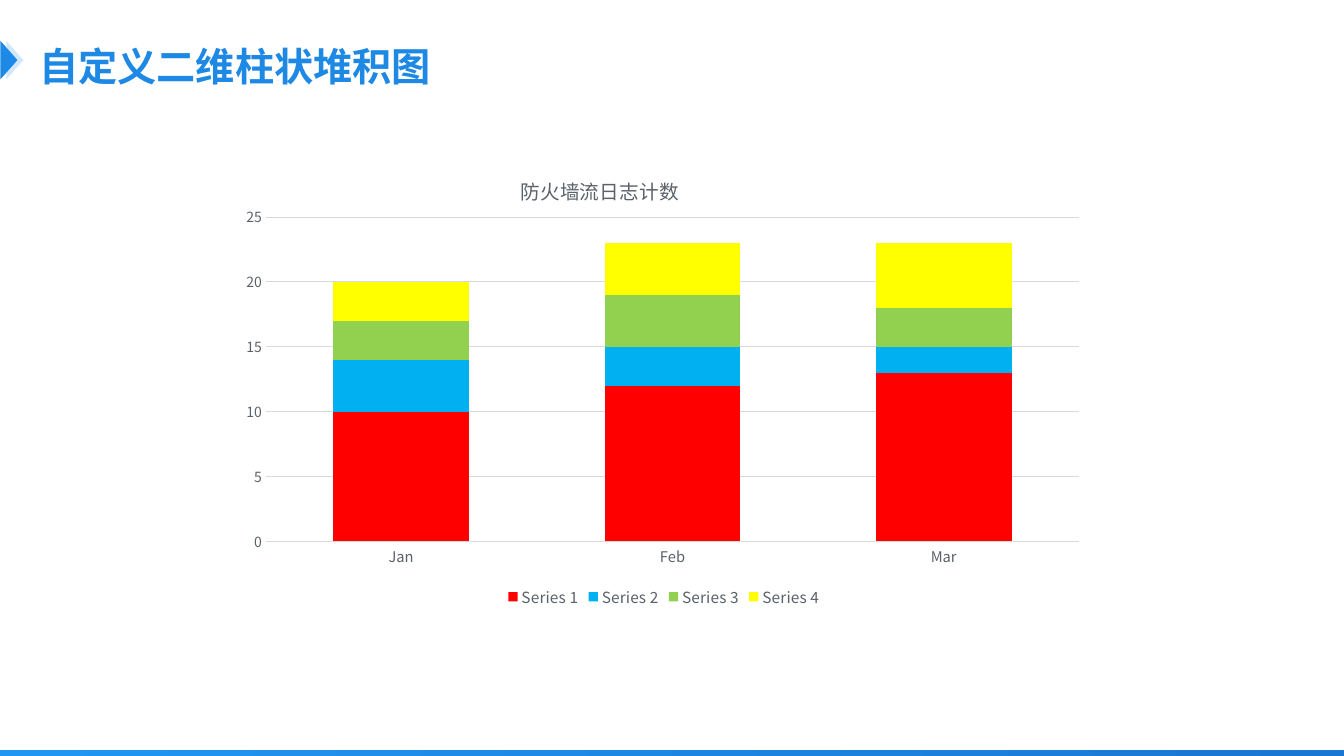
from lxml import etree
from pptx import Presentation
from pptx.chart.data import CategoryChartData
from pptx.dml.color import RGBColor
from pptx.enum.chart import XL_CHART_TYPE, XL_LEGEND_POSITION, XL_TICK_MARK
from pptx.enum.shapes import MSO_SHAPE
from pptx.enum.text import MSO_ANCHOR, PP_ALIGN
from pptx.oxml import parse_xml
from pptx.oxml.ns import nsdecls, qn
from pptx.util import Cm, Pt

STACKED = XL_CHART_TYPE.COLUMN_STACKED
LEGEND_BOTTOM = XL_LEGEND_POSITION.BOTTOM
NO_TICK = XL_TICK_MARK.NONE
RECTANGLE = MSO_SHAPE.RECTANGLE
TRIANGLE = MSO_SHAPE.ISOSCELES_TRIANGLE
BOTTOM = MSO_ANCHOR.BOTTOM
LEFT = PP_ALIGN.LEFT

FONT = "Noto Sans CJK SC"
BLUE = "1E88E5"
GREY = "5A6269"
RULE = "D8DBDD"


def colour(value):
    return RGBColor.from_string(value)


def write(frame, text, size=14, color=GREY, bold=False, align=None, spacing=None):
    para = frame.paragraphs[0]
    para.alignment = align
    para.line_spacing = spacing
    span = para.add_run()
    span.text = text
    span.font.size = Pt(size)
    span.font.bold = bold
    span.font.color.rgb = colour(color)
    span.font.name = FONT
    etree.SubElement(span.font._element, qn("a:ea"), typeface=FONT)


deck = Presentation()
deck.slide_width = Cm(33.87)
deck.slide_height = Cm(19.05)
page = deck.slides.add_slide(deck.slide_layouts[5])

footer = page.shapes.add_shape(RECTANGLE, 0, Cm(18.9), deck.slide_width, Cm(0.2))
footer.shadow.inherit = False
footer.line.fill.background()
footer.fill.gradient()
footer.fill.gradient_angle = 0
for stop, shade in zip(footer.fill.gradient_stops, ("2196F3", "1976D2")):
    stop.color.rgb = colour(shade)

for left, shade, opacity in ((-0.26, BLUE, 100), (-0.11, "1D8CF0", 20)):
    arrow = page.shapes.add_shape(TRIANGLE, Cm(left), Cm(1.3), Cm(0.97), Cm(0.43))
    arrow.rotation = 90
    arrow.shadow.inherit = False
    arrow.line.fill.background()
    arrow.fill.solid()
    arrow.fill.fore_color.rgb = colour(shade)
    shade_tag = arrow._element.spPr.find(".//" + qn("a:srgbClr"))
    etree.SubElement(shade_tag, qn("a:alpha"), val=str(opacity * 1000))

title = page.shapes.title
title.left, title.top, title.width, title.height = Cm(0.74), Cm(0.38), Cm(27.94), Cm(2)
title.text_frame.word_wrap = True
title.text_frame.vertical_anchor = BOTTOM
write(title.text_frame, "自定义二维柱状堆积图", size=28, color=BLUE, bold=True,
      align=LEFT, spacing=Pt(43))

log_counts = (
    ("Series 1", (10, 12, 13), "FF0000"),
    ("Series 2", (4, 3, 2), "00B0F0"),
    ("Series 3", (3, 4, 3), "92D050"),
    ("Series 4", (3, 4, 5), "FFFF00"),
)
data = CategoryChartData()
data.categories = ("Jan", "Feb", "Mar")
for name, values, shade in log_counts:
    data.add_series(name, values)
chart = page.shapes.add_chart(
    STACKED, Cm(5.82), Cm(3.58), Cm(21.82), Cm(11.84), data).chart
chart.font.name = "Calibri"
chart.font.size = Pt(10)
chart.font.color.rgb = colour("0C0D0E")

plot = chart.plots[0]
plot.gap_width = 100
plot.overlap = 100
plot.vary_by_categories = False
for series, (name, values, shade) in zip(plot.series, log_counts):
    series.format.fill.solid()
    series.format.fill.fore_color.rgb = colour(shade)

months, counts = chart.category_axis, chart.value_axis
counts.minimum_scale, counts.maximum_scale, counts.major_unit = 0, 25, 5
counts.format.line.fill.background()
for axis in (months, counts):
    axis.major_tick_mark = NO_TICK
    axis.minor_tick_mark = NO_TICK
for line in (months.format.line, counts.major_gridlines.format.line):
    line.color.rgb = colour(RULE)
    line.width = Pt(0.75)

chart.has_legend = True
chart.legend.position = LEGEND_BOTTOM
chart.legend.include_in_layout = False
for font, size in ((months.tick_labels.font, 10.5), (counts.tick_labels.font, 10),
                   (chart.legend.font, 11)):
    font.size = Pt(size)
    font.color.rgb = colour(GREY)
    font.name = FONT

chart.has_title = True
write(chart.chart_title.text_frame, "防火墙流日志计数")

title_tag = chart.chart_title._element
plot_tag = chart._chartSpace.chart.plotArea
for owner, position, places in (
        (title_tag, 1, {"xMode": "edge", "yMode": "edge", "x": 0.33, "y": 0.06}),
        (plot_tag, 0, {"layoutTarget": "inner", "xMode": "edge", "yMode": "edge",
                       "x": 0.04, "y": 0.16, "w": 0.94, "h": 0.69})):
    for old in owner.findall(qn("c:layout")):
        owner.remove(old)
    layout = parse_xml(f"<c:layout {nsdecls('c')}><c:manualLayout/></c:layout>")
    for key, value in places.items():
        etree.SubElement(layout[0], qn("c:" + key), val=str(value))
    owner.insert(position, layout)

deck.save("out.pptx")
